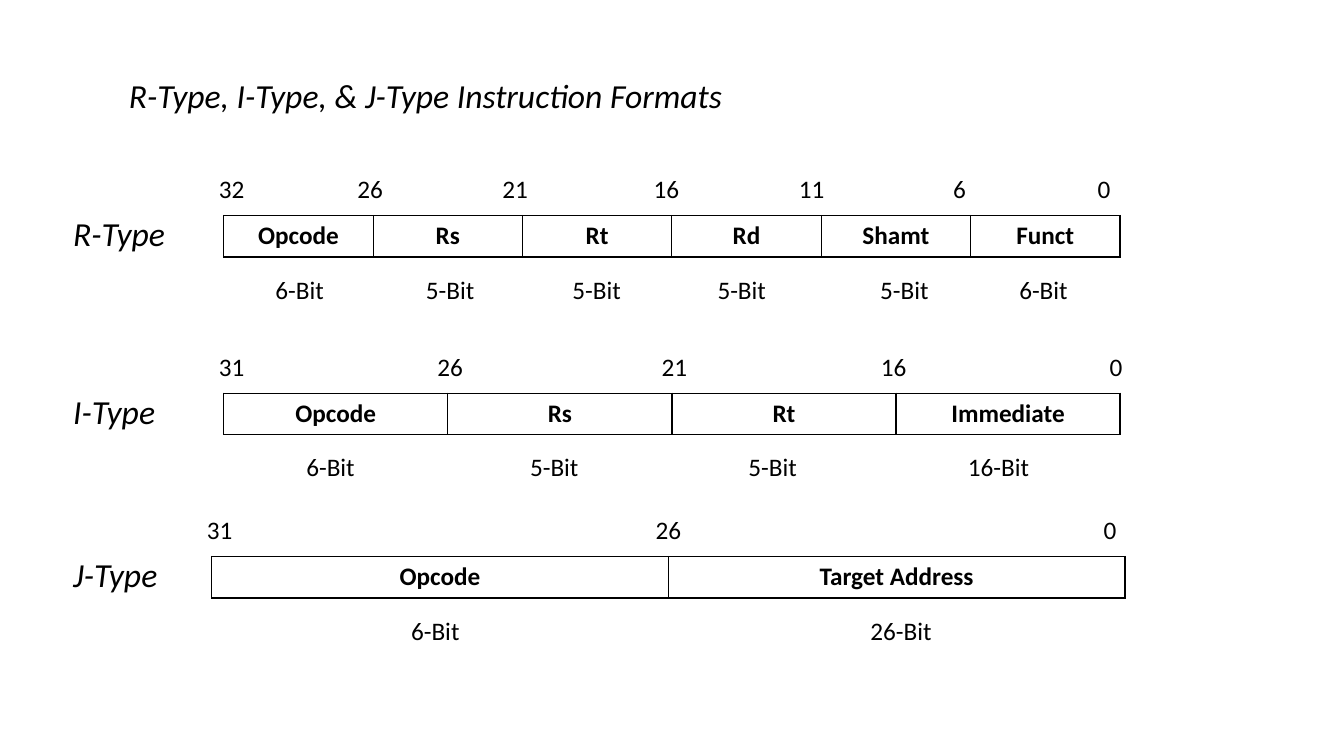
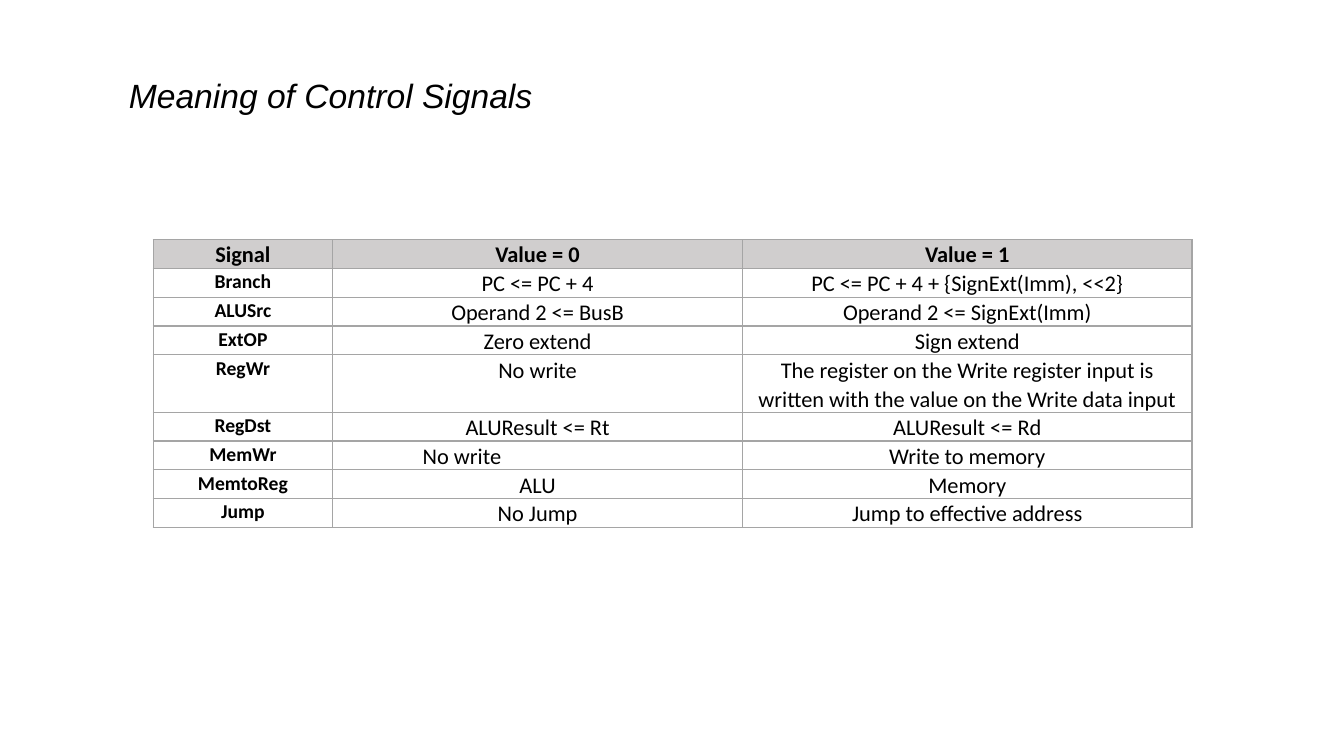
import dataclasses

import lxml.etree
import pptx
import pptx.dml.color
import pptx.enum.text
import pptx.oxml.ns
import pptx.util

SLIDE_WIDTH = pptx.util.Inches(13.33)
SLIDE_HEIGHT = pptx.util.Inches(7.5)
GRID = 100
BLACK, WHITE, GRAY, HEADER_GRAY = "000000", "FFFFFF", "A5A5A5", "D0CECE"
BODY_FONT = "Calibri"
CENTER = pptx.enum.text.PP_ALIGN.CENTER
LEFT = pptx.enum.text.PP_ALIGN.LEFT


@dataclasses.dataclass
class Box:
    left: float
    top: float
    width: float
    height: float

    def inner(self, left, top, width, height):
        return Box(self.left + left, self.top + top, width, height)

    def place(self):
        return (columns(self.left), rows(self.top),
                columns(self.width), rows(self.height))


@dataclasses.dataclass
class Format:
    name: str
    box: Box
    fields: list
    marks: list
    mark_tabs: list
    sizes: list
    size_tabs: list
    size_left: float
    size_width: float


FORMATS = [
    Format("R-Type", Box(16.65, 28.5, 66.7, 5.5),
           ["Opcode", "Rs", "Rt", "Rd", "Shamt", "Funct"],
           ["32", "26", "21", "16", "11", "6", "0"],
           [11.25, 22.05, 33.3, 44.1, 55.1, 65.85],
           ["6-Bit", "5-Bit", "5-Bit", "5-Bit", "5-Bit", "6-Bit"],
           [13, 23.9, 34.7, 46.8, 57.15], 3.1, 62.5),
    Format("I-Type", Box(16.65, 52, 66.7, 5.5),
           ["Opcode", "Rs", "Rt", "Immediate"],
           ["31", "26", "21", "16", "0"],
           [17.2, 33.9, 50.2, 66.75],
           ["6-Bit", "5-Bit", "5-Bit", "16-Bit"],
           [18.45, 34.7, 51.5], 5.4, 55.9),
    Format("J-Type", Box(15.75, 73.6, 67.95, 5.5),
           ["Opcode", "Target Address"],
           ["31", "26", "0"], [34.35, 67.2],
           ["6-Bit", "26-Bit"], [36.45], 14.1, 49.6),
]

SIGNALS = [
    ["Signal", "Value = 0", "Value = 1"],
    ["Branch", "PC <= PC + 4", "PC <= PC + 4 + {SignExt(Imm), <<2}"],
    ["ALUSrc", "Operand 2 <= BusB", "Operand 2 <= SignExt(Imm)"],
    ["ExtOP", "Zero extend", "Sign extend"],
    ["RegWr", "No write", "The register on the Write register input is "
     "written with the value on the Write data input"],
    ["RegDst", "ALUResult <= Rt", "ALUResult <= Rd"],
    ["MemWr", "\tNo write", "Write to memory"],
    ["MemtoReg", "ALU", "Memory"],
    ["Jump", "No Jump", "Jump to effective address"],
]


def columns(count):
    return round(SLIDE_WIDTH * count / GRID)


def rows(count):
    return round(SLIDE_HEIGHT * count / GRID)


def color(value):
    return pptx.dml.color.RGBColor.from_string(value)


def add_element(parent, tag, **attributes):
    element = lxml.etree.SubElement(parent, pptx.oxml.ns.qn(tag))
    for name, value in attributes.items():
        element.set(name, str(value))
    return element


def write(text_frame, text, size, font=BODY_FONT, bold=False, italic=False,
          align=LEFT, spacing=None, tabs=()):
    paragraph = text_frame.paragraphs[0]
    paragraph.text = text
    paragraph.alignment = align
    if spacing:
        paragraph.line_spacing = spacing
    if tabs:
        tab_list = add_element(paragraph._p.get_or_add_pPr(), "a:tabLst")
        for tab in tabs:
            add_element(tab_list, "a:tab", pos=columns(tab), algn="ctr")
    for run in paragraph.runs:
        run.font.name = font
        run.font.size = pptx.util.Pt(size)
        run.font.bold = bold
        run.font.italic = italic
        run.font.color.rgb = color(BLACK)


def add_text(slide, box, text, size, wrap=True, **style):
    text_frame = slide.shapes.add_textbox(*box.place()).text_frame
    text_frame.word_wrap = wrap
    text_frame.auto_size = pptx.enum.text.MSO_AUTO_SIZE.SHAPE_TO_FIT_TEXT
    write(text_frame, text, size, **style)


def add_heading(slide, box, text, font=BODY_FONT):
    add_text(slide, box, text, 24, wrap=False, font=font, italic=True)


def add_title(slide, text, width, font=BODY_FONT):
    add_heading(slide, Box(8.85, 9.3, width, 6.7), text, font)


def add_grid(slide, box, widths, row_count):
    table = slide.shapes.add_table(row_count, len(widths), *box.place()).table
    table.first_row = False
    table.horz_banding = False
    for column, width in zip(table.columns, widths):
        column.width = columns(width)
    for row in table.rows:
        row.height = rows(box.height / row_count)
    return table


def style_cell(cell, line, fill=None):
    properties = cell._tc.get_or_add_tcPr()
    for side in ("a:lnL", "a:lnR", "a:lnT", "a:lnB"):
        border = add_element(properties, side, w=pptx.util.Pt(1))
        add_element(add_element(border, "a:solidFill"), "a:srgbClr", val=line)
    if fill:
        cell.fill.solid()
        cell.fill.fore_color.rgb = color(fill)
    else:
        cell.fill.background()


def add_format(slide, layout):
    box = layout.box
    count = len(layout.fields)
    table = add_grid(slide, box, [box.width / count] * count, 1)
    for cell, field in zip(table.iter_cells(), layout.fields):
        style_cell(cell, BLACK)
        write(cell.text_frame, field, 18, bold=True, align=CENTER)
    add_text(slide, box.inner(-1.1, -6.2, box.width + 2.4, 5.3),
             "\t".join(layout.marks), 18, tabs=layout.mark_tabs)
    add_text(slide, box.inner(layout.size_left, 7.1, layout.size_width, 5.3),
             "\t".join(layout.sizes), 18, tabs=layout.size_tabs)
    add_heading(slide, Box(4.7, box.top - 1, 9, 6.7), layout.name)


def add_signal_table(slide, box):
    table = add_grid(slide, box, [13.35, 30.5, 33.45], len(SIGNALS))
    for row_index, texts in enumerate(SIGNALS):
        header = row_index == 0
        for column_index, text in enumerate(texts):
            name = column_index == 0
            tabbed = text.startswith("\t")
            cell = table.cell(row_index, column_index)
            cell.margin_left = cell.margin_right = pptx.util.Inches(0.07)
            cell.margin_top = cell.margin_bottom = 0
            style_cell(cell, GRAY, HEADER_GRAY if header else WHITE)
            write(cell.text_frame, text, 14 if name and not header else 16,
                  bold=header or name, align=LEFT if tabbed else CENTER,
                  spacing=1.07, tabs=[9.1] if tabbed else ())


def build_formats_slide(slide):
    add_title(slide, "R-Type, I-Type, & J-Type Instruction Formats", 49.35)
    for layout in FORMATS:
        add_format(slide, layout)


def build_signals_slide(slide):
    add_title(slide, "Meaning of Control Signals", 32.9, "Arial")
    add_signal_table(slide, Box(11.4, 31.7, 77.3, 34.2))


def main():
    presentation = pptx.Presentation()
    presentation.slide_width = SLIDE_WIDTH
    presentation.slide_height = SLIDE_HEIGHT
    for build in (build_formats_slide, build_signals_slide):
        build(presentation.slides.add_slide(presentation.slide_layouts[6]))
    presentation.save("out.pptx")


if __name__ == "__main__":
    main()
